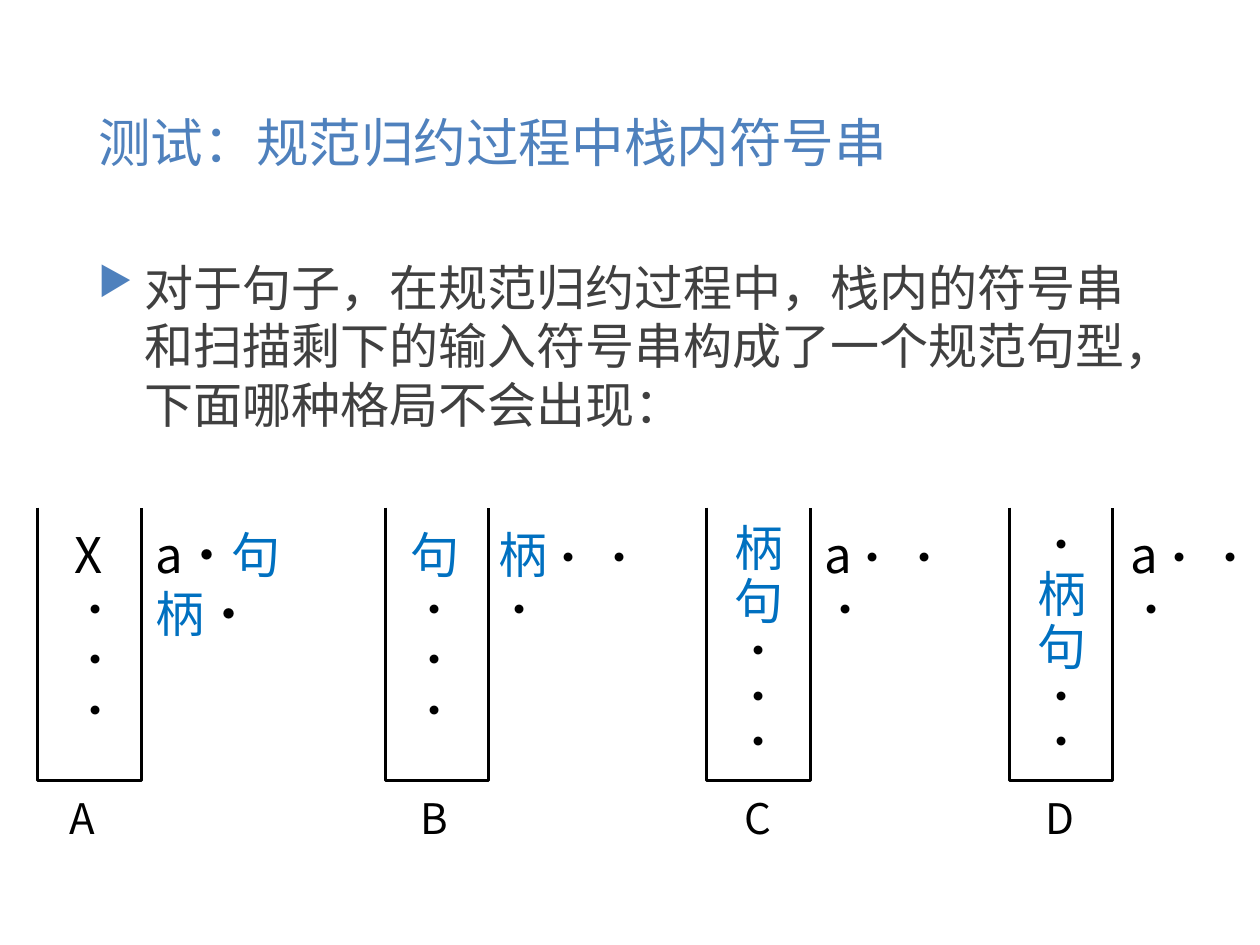
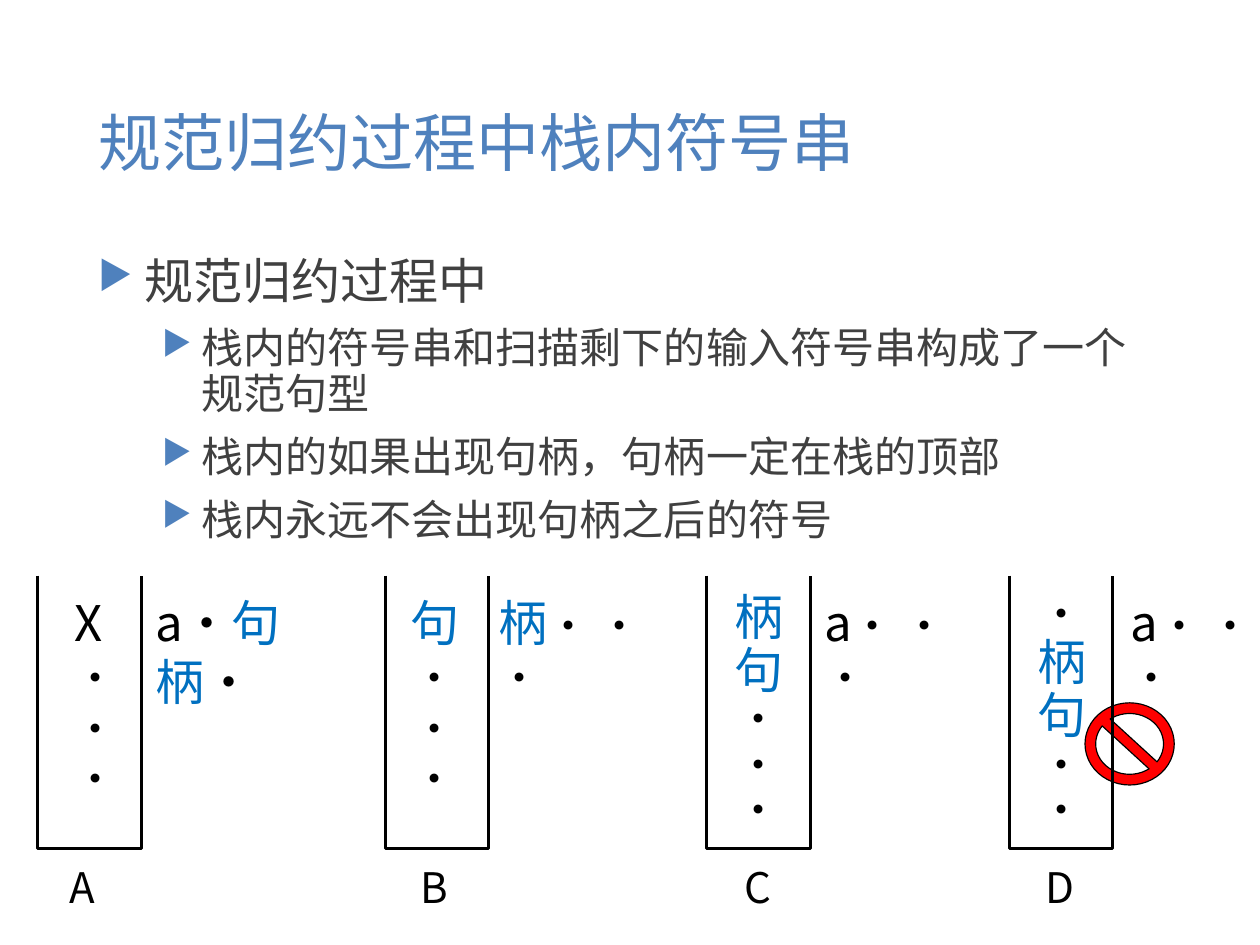
import pptx
import pptx.util
import pptx.dml.color
import pptx.enum.shapes
import pptx.enum.text
import pptx.oxml.ns
from lxml import etree

Pt = pptx.util.Pt
RGB = pptx.dml.color.RGBColor
ALIGN = pptx.enum.text.PP_ALIGN
qn = pptx.oxml.ns.qn

TITLE_BLUE = RGB(0x4F, 0x81, 0xBD)
BODY_GREY = RGB(0x40, 0x40, 0x40)
HANDLE_BLUE = RGB(0x00, 0x70, 0xC0)
BLACK = RGB(0, 0, 0)
RED = RGB(0xFF, 0, 0)
FONT = "Noto Sans CJK SC"
LARGE, SMALL = 30.9, 26.5

DOT = ("•", SMALL, BLACK)
DOTS = ("• • •", SMALL, BLACK)
JU = ("句", LARGE, HANDLE_BLUE)
BING = ("柄", LARGE, HANDLE_BLUE)
A = ("a", LARGE, BLACK)

# One stack each: label, left edges of wall, content, input and label,
# content width, alignment, line spacing, content (top first), input
STACKS = [
    ("A", 23.8, 39.6, 90.7, 36.7, 28.8, ALIGN.LEFT, None,
     [("X", LARGE, BLACK), DOT, DOT, DOT],
     [("a•", LARGE, BLACK), ("句柄", LARGE, HANDLE_BLUE), ("•", LARGE, BLACK)], 119.5),
    ("B", 242.6, 250.6, 306.7, 257.8, 46.1, ALIGN.CENTER, None,
     [JU, DOT, DOT, DOT], [BING, DOTS], 108),
    ("C", 445, 455, 511.9, 461.5, 46.1, ALIGN.CENTER, 0.9,
     [BING, JU, DOT, DOT, DOT], [A, DOTS], 92.2),
    ("D", 635.6, 645.8, 704.9, 651.6, 46.1, ALIGN.CENTER, 0.9,
     [DOT, BING, JU, DOT, DOT], [A, DOTS], 92.2),
]


def add_text(p, text, *, size, color):
    """Add one run with the deck font for Latin and East Asian text."""
    r = p.add_run()
    r.text = text
    r.font.size = Pt(size)
    r.font.color.rgb = color
    r.font.name = FONT
    etree.SubElement(r.font._element, qn("a:ea"), typeface=FONT)


class Deck:
    def __init__(self):
        self.prs = pptx.Presentation()
        self.prs.slide_width = Pt(793.5)
        self.prs.slide_height = Pt(595.4)
        self.s = None

    def slide(self, title, size):
        self.s = self.prs.slides.add_slide(self.prs.slide_layouts[5])
        sp = self.s.shapes.title
        sp.left, sp.top, sp.width, sp.height = Pt(54.7), Pt(31.7), Pt(684.7), Pt(115.2)
        tf = sp.text_frame
        tf.auto_size = pptx.enum.text.MSO_AUTO_SIZE.NONE
        tf.vertical_anchor = pptx.enum.text.MSO_ANCHOR.MIDDLE
        p = tf.paragraphs[0]
        p.alignment = ALIGN.LEFT
        add_text(p, title, size=size, color=TITLE_BLUE)

    def box(self, shapes, left, top, width, height, lines, align=ALIGN.LEFT, spacing=None):
        """Text box; each line is a list of (text, size, colour) runs."""
        tf = shapes.add_textbox(Pt(left), Pt(top), Pt(width), Pt(height)).text_frame
        tf.word_wrap = True
        for i, runs in enumerate(lines):
            p = tf.paragraphs[0] if i == 0 else tf.add_paragraph()
            p.alignment = align
            p.line_spacing = spacing
            for text, size, color in runs:
                add_text(p, text, size=size, color=color)
        return tf

    def bullets(self, items, spacing=None):
        """Bulleted body; each item is (level, text)."""
        styles = [(LARGE, 29.5, 29.5), (SMALL, 64.8, 24.5)]
        lines = [[(text, styles[level][0], BODY_GREY)] for level, text in items]
        tf = self.box(self.s.shapes, 54.7, 158.4, 684.7, 378, lines, spacing=spacing)
        for i, (p, (level, _)) in enumerate(zip(tf.paragraphs, items)):
            _, margin, hang = styles[level]
            p.level = level
            if i:
                p.space_before = Pt(11)
            pPr = p._p.get_or_add_pPr()
            pPr.set("marL", str(Pt(margin)))
            pPr.set("indent", str(-Pt(hang)))
            clr = etree.SubElement(pPr, qn("a:buClr"))
            etree.SubElement(clr, qn("a:srgbClr"), val=str(TITLE_BLUE))
            etree.SubElement(pPr, qn("a:buSzPct"), val="80000")
            etree.SubElement(pPr, qn("a:buChar"), char="▶")

    def stack(self, top, label, wall, content_x, input_x, label_x, content_w,
              align, spacing, content, rest, rest_w):
        """Open-topped stack with its content, remaining input and label."""
        shapes = self.s.shapes.add_group_shape().shapes
        right, bottom = wall + 65.2, top + 171.8
        fb = shapes.build_freeform(Pt(wall), Pt(top))
        fb.add_line_segments([(Pt(wall), Pt(bottom)), (Pt(right), Pt(bottom)),
                              (Pt(right), Pt(top))], close=False)
        sp = fb.convert_to_shape()
        sp.shadow.inherit = False
        sp.fill.background()
        sp.line.color.rgb = BLACK
        sp.line.width = Pt(2)
        self.box(shapes, content_x, top + 7.2, content_w, 141 if spacing is None else 161,
                 [[item] for item in content], align, spacing)
        self.box(shapes, input_x, top + 7.2, rest_w, 44.6, [rest])
        self.box(shapes, label_x, top + 176.2, 33, 39.6, [[(label, SMALL, BLACK)]])

    def stacks(self, top):
        for stack in STACKS:
            self.stack(top, *stack)

    def no_sign(self, left, top, width, height):
        sp = self.s.shapes.add_shape(pptx.enum.shapes.MSO_SHAPE.NO_SYMBOL,
                                     Pt(left), Pt(top), Pt(width), Pt(height))
        sp.adjustments[0] = 0.13
        sp.shadow.inherit = False
        sp.fill.solid()
        sp.fill.fore_color.rgb = RED
        sp.line.color.rgb = BLACK
        sp.line.width = Pt(0.75)


def main():
    deck = Deck()

    # Question
    deck.slide("测试：规范归约过程中栈内符号串", 33.1)
    deck.bullets([(0, "对于句子，在规范归约过程中，栈内的符号串和扫描剩下的输入符号串"
                      "构成了一个规范句型，下面哪种格局不会出现：")])
    deck.stacks(319.8)

    # Answer, with the impossible stack marked
    deck.slide("规范归约过程中栈内符号串", 39.7)
    deck.bullets([
        (0, "规范归约过程中"),
        (1, "栈内的符号串和扫描剩下的输入符号串构成了一个规范句型"),
        (1, "栈内的如果出现句柄，句柄一定在栈的顶部"),
        (1, "栈内永远不会出现句柄之后的符号"),
    ], spacing=0.9)
    deck.no_sign(683.3, 442.8, 56.2, 51.8)
    deck.stacks(362.7)

    deck.prs.save("out.pptx")


if __name__ == "__main__":
    main()
